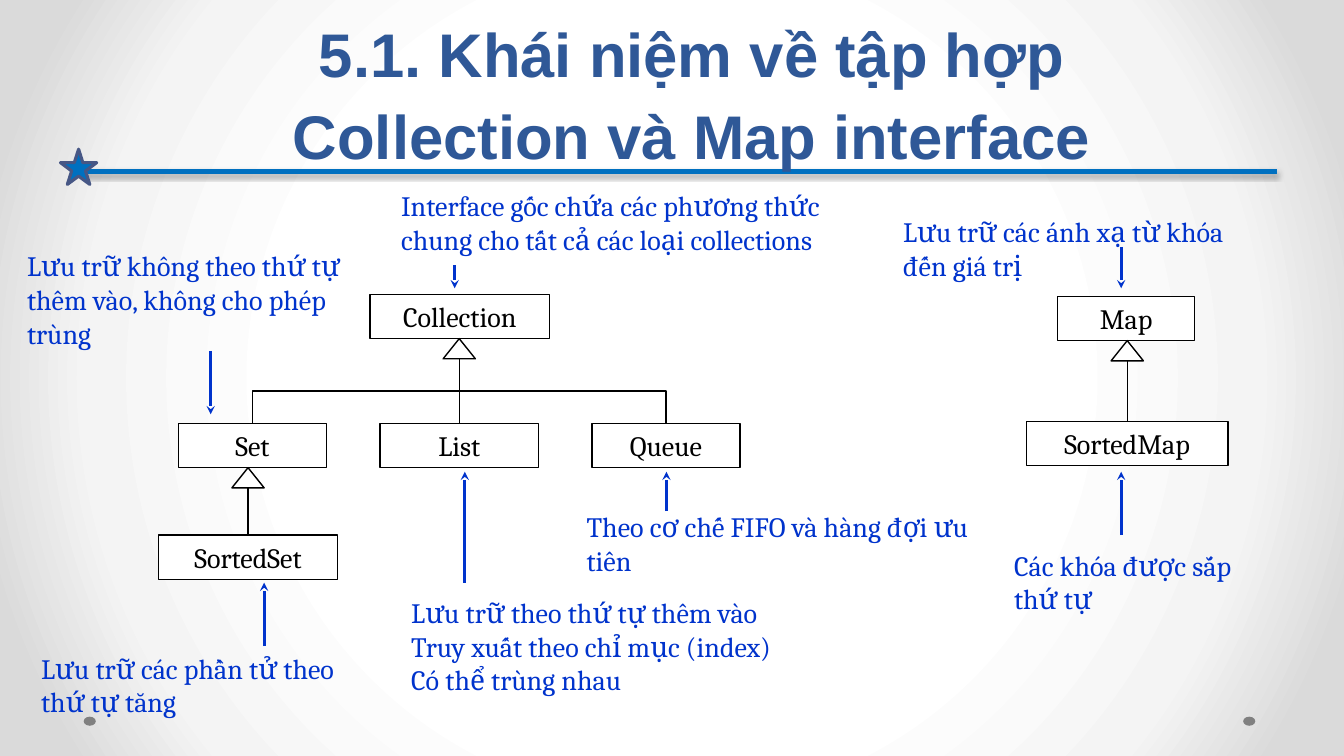
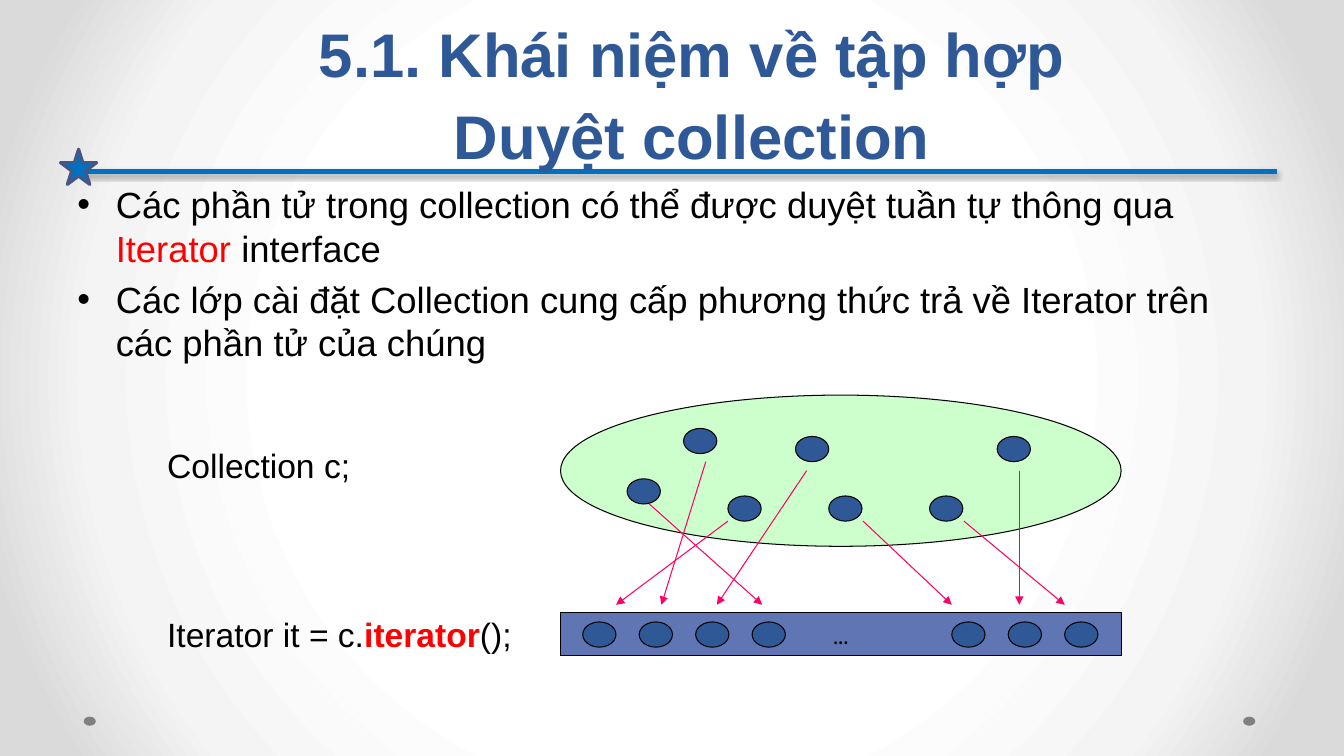
import dataclasses
import typing

import pptx
import pptx.dml.color
import pptx.enum.shapes
import pptx.enum.text
import pptx.oxml
import pptx.oxml.ns
import pptx.presentation
import pptx.shapes.autoshape
import pptx.shapes.connector
import pptx.slide
import pptx.text.text
import pptx.util

Inches = pptx.util.Inches
Pt = pptx.util.Pt
Kind = pptx.enum.shapes.MSO_SHAPE
Link = pptx.enum.shapes.MSO_CONNECTOR
Anchor = pptx.enum.text.MSO_ANCHOR
Align = pptx.enum.text.PP_ALIGN
qn = pptx.oxml.ns.qn
NS = pptx.oxml.ns.nsdecls("a")

HEX = {
    "title": "2F5897", "rule": "0070C0", "edge": "475785", "page": "808080",
    "note": "0033CC", "black": "000000", "white": "FFFFFF", "red": "FF0000",
    "pool": "CCFFCC", "bar": "6076B4", "pink": "FF0066",
}
FADE = {50: "FFFFFF", 76: "F4F4F4", 92: "DADADA"}
HEAD = {"name": "Arial", "size": Pt(44), "bold": True, "color": "title"}
NOTE = {"name": "Cambria", "size": Pt(20), "color": "note"}
LABEL = NOTE | {"color": "black"}
BODY = {"name": "Arial", "size": Pt(26), "color": "black"}
CODE = BODY | {"size": Pt(24)}
DOTS = LABEL | {"size": Pt(18)}


class Point(typing.NamedTuple):
    x: float
    y: float


class Area(typing.NamedTuple):
    x: float
    y: float
    w: float
    h: float


class Run(typing.NamedTuple):
    text: str
    style: dict


@dataclasses.dataclass
class Note:
    area: Area
    lines: list[str]
    start: Point
    end: Point


@dataclasses.dataclass
class Node:
    name: str
    area: Area

    @property
    def mid(self) -> float:
        return self.area.x + self.area.w / 2


@dataclasses.dataclass
class Item:
    """An element of the pool and the arrow to its place in the row."""
    spot: Point
    start: Point
    end: float


def rgb(name: str) -> pptx.dml.color.RGBColor:
    return pptx.dml.color.RGBColor.from_string(HEX[name])


def write(para: pptx.text.text._Paragraph, runs: list[Run]) -> None:
    for text, style in runs:
        run = para.add_run()
        run.text = text
        for key, value in style.items():
            if key == "color":
                run.font.color.rgb = rgb(value)
            else:
                setattr(run.font, key, value)


def add_text(slide: pptx.slide.Slide, area: Area, paras: list[list[Run]],
             anchor: Anchor = Anchor.TOP) -> list[pptx.text.text._Paragraph]:
    frame = slide.shapes.add_textbox(*map(Inches, area)).text_frame
    frame.word_wrap = True
    frame.vertical_anchor = anchor
    for i, runs in enumerate(paras):
        write(frame.add_paragraph() if i else frame.paragraphs[0], runs)
    return list(frame.paragraphs)


def add_form(slide: pptx.slide.Slide, kind: Kind, area: Area, fill: str,
             edge: str | None = "black", width: float = 0.75,
             runs: list[Run] | None = None) -> pptx.shapes.autoshape.Shape:
    form = slide.shapes.add_shape(kind, *map(Inches, area))
    form.shadow.inherit = False
    form.fill.solid()
    form.fill.fore_color.rgb = rgb(fill)
    if edge:
        form.line.color.rgb = rgb(edge)
        form.line.width = Pt(width)
    else:
        form.line.fill.background()
    if runs:
        frame = form.text_frame
        frame.word_wrap = False
        frame.vertical_anchor = Anchor.MIDDLE
        frame.paragraphs[0].alignment = Align.CENTER
        write(frame.paragraphs[0], runs)
    return form


def add_line(slide: pptx.slide.Slide, start: Point, end: Point, color: str,
             width: float, tip: str = "", kind: Link = Link.STRAIGHT,
             effect: str = "") -> pptx.shapes.connector.Connector:
    line = slide.shapes.add_connector(kind, *map(Inches, (*start, *end)))
    line.line.color.rgb = rgb(color)
    line.line.width = Pt(width)
    props = line.element.spPr
    if tip:
        props.find(qn("a:ln")).append(
            pptx.oxml.parse_xml(f'<a:tailEnd {NS} type="{tip}"/>'))
    props.append(pptx.oxml.parse_xml(f"<a:effectLst {NS}>{effect}</a:effectLst>"))
    return line


def add_elbow(slide: pptx.slide.Slide, start: Point, end: Point) -> None:
    """Rise from start, cross halfway, and rise to end: a bent line on its side."""
    x, y = (start.x + end.x) / 2, (start.y + end.y) / 2
    w = (start.y - end.y) / 2
    h = (end.x - start.x) / 2
    line = add_line(slide, Point(x - w, y - h), Point(x + w, y + h),
                    "black", 1, kind=Link.ELBOW)
    line.element.spPr.find(qn("a:xfrm")).set("rot", "16200000")


def add_base(deck: pptx.presentation.Presentation, title: str) -> pptx.slide.Slide:
    """Add a slide with the shared backdrop, rule, star, page dots and title."""
    slide = deck.slides.add_slide(deck.slide_layouts[6])
    slide.background.fill.solid()
    back = slide.element.find(".//" + qn("p:bgPr"))
    back.remove(back[0])
    stops = "".join(f'<a:gs pos="{pos * 1000}"><a:srgbClr val="{color}"/></a:gs>'
                    for pos, color in FADE.items())
    back.insert(0, pptx.oxml.parse_xml(
        f'<a:gradFill {NS} rotWithShape="1"><a:gsLst>{stops}</a:gsLst>'
        '<a:path path="circle"><a:fillToRect l="50000" t="50000" r="50000" '
        'b="50000"/></a:path></a:gradFill>'))
    for x in (12.33, 0.83):
        add_form(slide, Kind.OVAL, Area(x, 7.11, 0.12, 0.09), "page", None)
    shade = ('<a:outerShdw blurRad="39370" dist="22860" dir="5400000" '
             'rotWithShape="0"><a:srgbClr val="000000"><a:alpha val="35000"/>'
             '</a:srgbClr></a:outerShdw>')
    add_line(slide, Point(0.84, 1.7), Point(12.67, 1.7), "rule", 4, effect=shade)
    add_form(slide, Kind.STAR_5_POINT, Area(0.6, 1.48, 0.36, 0.35),
             "rule", "edge", 2.25)
    first, last = title.split("\n")
    head = add_text(slide, Area(1.08, 0.19, 11.57, 1.56), [[]], Anchor.BOTTOM)[0]
    head.alignment = Align.CENTER
    head.line_spacing = Pt(58)
    write(head, [Run(first, HEAD)])
    head.add_line_break()
    write(head, [Run(last, HEAD)])
    return slide


def add_tree(slide: pptx.slide.Slide, top: Node, kids: list[Node]) -> None:
    """Draw the hollow arrow under top, and a line to it from each kid."""
    trunk = kids[len(kids) // 2].mid
    low = top.area.y + top.area.h
    add_form(slide, Kind.ISOSCELES_TRIANGLE,
             Area(trunk - 0.16, low, 0.32, 0.2), "white", width=1)
    end = Point(trunk, low + 0.2)
    for kid in kids:
        start = Point(kid.mid, kid.area.y)
        form = add_form(slide, Kind.RECTANGLE, kid.area, "white", width=1,
                        runs=[Run(kid.name, LABEL)])
        if kid.mid == trunk:
            add_line(slide, start, end, "black", 1).begin_connect(form, 0)
        else:
            add_elbow(slide, start, end)


def add_types(deck: pptx.presentation.Presentation) -> None:
    slide = add_base(deck, "5.1. Khái niệm về tập hợp\nCollection và Map interface")
    notes = [
        Note(Area(3.88, 1.82, 4.73, 0.77),
             ["Interface gốc chứa các phương thức chung cho tất cả các loại collections"],
             Point(4.51, 2.63), Point(4.51, 2.86)),
        Note(Area(5.72, 5.01, 4.24, 0.77), ["Theo cơ chế FIFO và hàng đợi ưu tiên"],
             Point(6.61, 5.07), Point(6.61, 4.68)),
        Note(Area(3.98, 5.86, 4.62, 1.11),
             ["Lưu trữ theo thứ tự thêm vào", "Truy xuất theo chỉ mục (index)",
              "Có thể trùng nhau"],
             Point(4.61, 5.78), Point(4.61, 4.68)),
        Note(Area(0.17, 2.42, 3.36, 1.11),
             ["Lưu trữ không theo thứ tự thêm vào, không cho phép trùng"],
             Point(2.09, 3.48), Point(2.09, 4.11)),
        Note(Area(0.31, 6.41, 3.36, 0.77), ["Lưu trữ các phần tử theo thứ tự tăng"],
             Point(2.62, 6.41), Point(2.62, 5.78)),
        Note(Area(8.86, 2.08, 3.84, 0.77), ["Lưu trữ các ánh xạ từ khóa đến giá trị"],
             Point(11.12, 2.45), Point(11.12, 2.86)),
        Note(Area(9.96, 5.39, 2.57, 0.77), ["Các khóa được sắp thứ tự"],
             Point(11.12, 5.31), Point(11.12, 4.68)),
    ]
    for note in notes:
        add_text(slide, note.area, [[Run(line, NOTE)] for line in note.lines])
        add_line(slide, note.start, note.end, "note", 2, "stealth")

    root = Node("Collection", Area(3.67, 2.92, 1.78, 0.44))
    group = Node("Set", Area(1.77, 4.2, 1.47, 0.44))
    chain = Node("List", Area(3.77, 4.2, 1.57, 0.44))
    queue = Node("Queue", Area(5.87, 4.2, 1.47, 0.44))
    ranked = Node("SortedSet", Area(1.57, 5.31, 1.78, 0.44))
    table = Node("Map", Area(10.49, 2.94, 1.36, 0.44))
    index = Node("SortedMap", Area(10.18, 4.18, 2, 0.44))
    for top in (root, table):
        add_form(slide, Kind.RECTANGLE, top.area, "white", width=1,
                 runs=[Run(top.name, LABEL)])
    add_tree(slide, root, [group, chain, queue])
    add_tree(slide, group, [ranked])
    add_tree(slide, table, [index])


def add_walk(deck: pptx.presentation.Presentation) -> None:
    slide = add_base(deck, "5.1. Khái niệm về tập hợp\nDuyệt collection")
    paras = add_text(slide, Area(0.67, 1.76, 12, 5.06), [
        [Run("Các phần tử trong collection có thể được duyệt tuần tự thông qua ", BODY),
         Run("Iterator ", BODY | {"color": "red"}), Run("interface", BODY)],
        [Run("Các lớp cài đặt Collection cung cấp phương thức trả về Iterator "
             "trên các phần tử của chúng", BODY)],
    ])
    for para in paras:
        props = para._p.get_or_add_pPr()
        props.set("marL", str(Inches(0.38)))
        props.set("indent", str(-Inches(0.38)))
        for xml in (f'<a:buFont {NS} typeface="Arial"/>', f'<a:buChar {NS} char="•"/>'):
            props.append(pptx.oxml.parse_xml(xml))
    paras[1].space_before = Pt(5.2)

    add_form(slide, Kind.OVAL, Area(5.56, 3.92, 5.56, 1.5), "pool")
    add_form(slide, Kind.RECTANGLE, Area(5.56, 6.08, 5.56, 0.42), "bar",
             runs=[Run("...", DOTS)])
    items = [
        Item(Point(7.22, 4.92), Point(7.22, 5.17), 6.11),
        Item(Point(6.22, 4.75), Point(6.44, 5), 7.56),
        Item(Point(6.78, 4.25), Point(7, 4.58), 6.56),
        Item(Point(7.89, 4.33), Point(8, 4.67), 7.11),
        Item(Point(8.22, 4.92), Point(8.56, 5.17), 9.44),
        Item(Point(9.22, 4.92), Point(9.56, 5.17), 10.56),
        Item(Point(9.89, 4.33), Point(10.11, 4.67), 10.11),
    ]
    slots = [Point(left + i * 0.56, 6.17)
             for left, count in ((5.78, 4), (9.44, 3)) for i in range(count)]
    for spot in [item.spot for item in items] + slots:
        add_form(slide, Kind.OVAL, Area(*spot, 0.33, 0.25), "title")
    for item in items:
        add_line(slide, item.start, Point(item.end, 6), "pink", 0.75, "triangle")

    add_text(slide, Area(1.56, 4.36, 2.67, 0.5), [[Run("Collection c;", CODE)]])
    add_text(slide, Area(1.56, 6.04, 4, 0.5), [[
        Run("Iterator it = c.", CODE),
        Run("iterator", CODE | {"color": "red", "bold": True}), Run("();", CODE)]])


def main() -> None:
    deck = pptx.Presentation()
    deck.slide_width = Inches(13.33)
    deck.slide_height = Inches(7.5)
    add_types(deck)
    add_walk(deck)
    deck.save("out.pptx")


if __name__ == "__main__":
    main()
